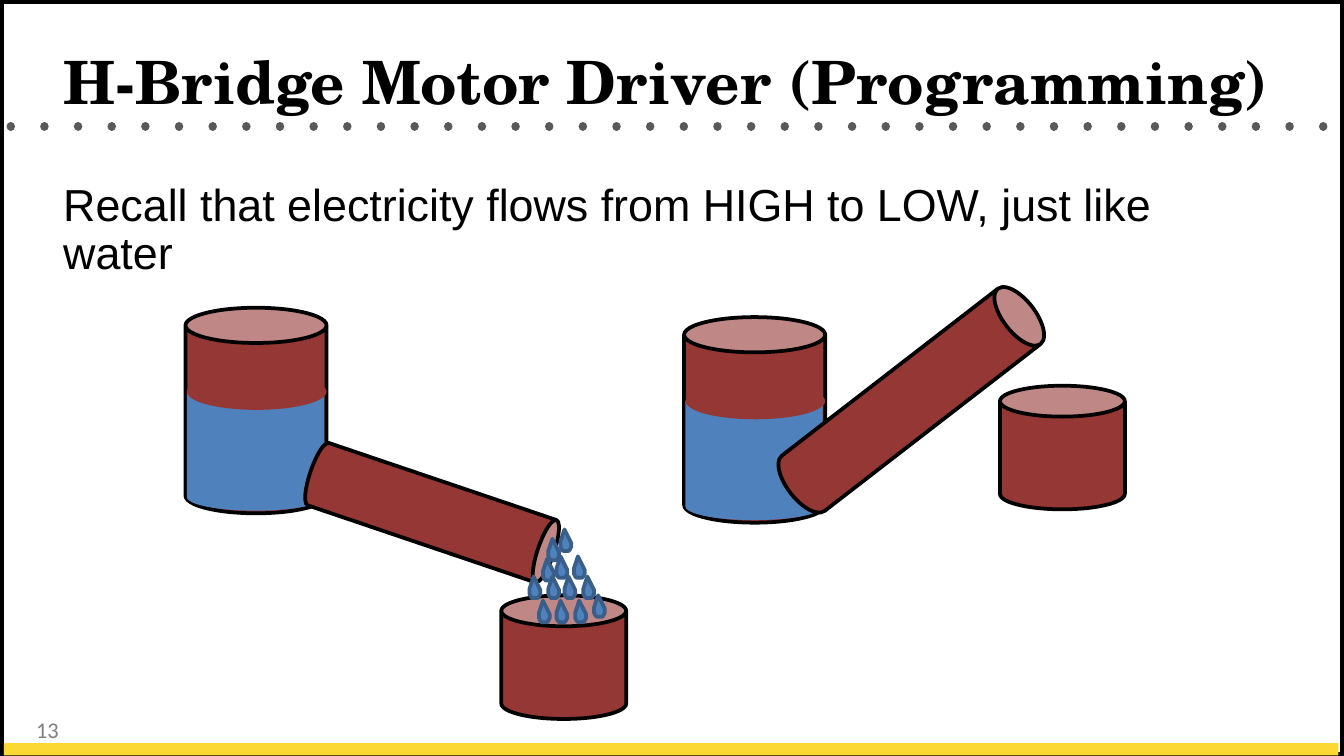
from typing import NamedTuple

from lxml import etree
from pptx import Presentation
from pptx.dml.color import RGBColor
from pptx.enum import shapes, text
from pptx.oxml import ns
from pptx.util import Inches, Pt

# A 16:9 slide
SLIDE_WIDTH = 10
SLIDE_HEIGHT = SLIDE_WIDTH * 9 / 16

COLORS = {
    "paper": "FFFFFF", "ink": "000000", "dots": "595959", "number": "7F7F7F",
    "stripe": "FBD833", "tank": "953734", "water": "4F81BD", "drop_edge": "395E89",
}


class Part(NamedTuple):
    left: float
    top: float
    width: float
    height: float
    fill: str = "tank"
    kind: shapes.MSO_SHAPE = shapes.MSO_SHAPE.CAN
    edge: float = 2
    rim: float = 0.25
    turn: float = 0


class Drop(NamedTuple):
    left: float
    top: float


def rgb(name: str) -> RGBColor:
    return RGBColor.from_string(COLORS[name])


def draw_part(canvas, part: Part) -> None:
    shape = canvas.add_shape(part.kind, *(Inches(n) for n in part[:4]))
    shape.shadow.inherit = False
    shape.rotation = part.turn
    shape.fill.solid()
    shape.fill.fore_color.rgb = rgb(part.fill)
    if part.edge:
        shape.line.color.rgb = rgb("ink")
        shape.line.width = Pt(part.edge)
    else:
        shape.line.fill.background()
    if part.kind == shapes.MSO_SHAPE.CAN:
        shape.adjustments[0] = part.rim


def draw_group(slide, parts: list[Part]) -> None:
    group = slide.shapes.add_group_shape()
    for part in parts:
        draw_part(group.shapes, part)


def draw_drop(canvas, drop: Drop) -> None:
    points = [(Inches(drop.left + x), Inches(drop.top + y)) for x, y in DROP_OUTLINE]
    builder = canvas.build_freeform(*points[0])
    builder.add_line_segments(points[1:], close=True)
    shape = builder.convert_to_shape()
    shape.shadow.inherit = False
    shape.fill.solid()
    shape.fill.fore_color.rgb = rgb("water")
    shape.line.color.rgb = rgb("drop_edge")
    shape.line.width = Pt(2)


def draw_dotted_rule(slide, left: float, right: float, y: float) -> None:
    rule = slide.shapes.add_connector(
        shapes.MSO_CONNECTOR.STRAIGHT, Inches(left), Inches(y), Inches(right), Inches(y))
    rule.line.color.rgb = rgb("dots")
    rule.line.width = Pt(4.5)
    properties = rule._element.spPr
    line = properties.find(ns.qn("a:ln"))
    line.set("cap", "rnd")
    etree.SubElement(line, ns.qn("a:prstDash"), val="dot")
    etree.SubElement(properties, ns.qn("a:effectLst"))


def write(box, words: str, place: tuple, font: str, size: float,
          color: str = "ink", bold: bool = False,
          anchor: text.MSO_ANCHOR = text.MSO_ANCHOR.TOP, spacing: float = 1.0) -> None:
    box.left, box.top, box.width, box.height = (Inches(n) for n in place)
    frame = box.text_frame
    frame.text = words
    frame.word_wrap = True
    frame.auto_size = text.MSO_AUTO_SIZE.NONE
    frame.vertical_anchor = anchor
    paragraph = frame.paragraphs[0]
    paragraph.alignment = text.PP_ALIGN.LEFT
    paragraph.line_spacing = spacing
    paragraph.space_before = Pt(0)
    properties = paragraph._p.get_or_add_pPr()
    properties.set("marL", "0")
    properties.set("indent", "0")
    etree.SubElement(properties, ns.qn("a:buNone"))
    run_font = paragraph.runs[0].font
    run_font.name, run_font.size, run_font.bold = font, Pt(size), bold
    run_font.color.rgb = rgb(color)


def water_tank(left: float, top: float) -> list[Part]:
    return [
        Part(left, top, 1.05, 1.53),
        Part(left + 0.01, top + 0.53, 1.02, 0.98, "water", edge=0, rim=0.206),
        Part(left + 0.01, top + 0.49, 1.04, 0.27, kind=shapes.MSO_SHAPE.OVAL, edge=0),
    ]


def bucket(left: float, top: float) -> Part:
    return Part(left, top, 0.93, 0.92)


# Outline of one drop, from its tip down the left side and back up
DROP_OUTLINE = [(0.03, 0), (0, 0.09), (0, 0.13), (0.01, 0.15), (0.02, 0.16),
                (0.06, 0.16), (0.07, 0.15), (0.08, 0.13), (0.08, 0.1)]
DROPS = [
    Drop(4.04, 4.16), Drop(4.08, 4.01), Drop(4.14, 4.14), Drop(4.17, 3.94), Drop(4.27, 4.14),
    *(Drop(left, 4.29) for left in (4.08, 4.2, 4.34, 3.94)),
    *(Drop(left, 4.47) for left in (4.28, 4.14, 4.01)),
    Drop(4.42, 4.43),
]


def main() -> None:
    deck = Presentation()
    deck.slide_width, deck.slide_height = Inches(SLIDE_WIDTH), Inches(SLIDE_HEIGHT)
    slide = deck.slides.add_slide(deck.slide_layouts[1])
    title, recall = slide.shapes.title, slide.placeholders[1]

    # Backdrop: frame, page number, dotted rule, stripe
    rectangle = shapes.MSO_SHAPE.RECTANGLE
    draw_part(slide.shapes, Part(0, 0, SLIDE_WIDTH, SLIDE_HEIGHT, "paper", rectangle, 4.5))
    page_number = slide.shapes.add_textbox(0, 0, 0, 0)
    write(page_number, "13", (0.17, 5.28, 0.92, 0.41), "Calibri", 12, "number")
    draw_dotted_rule(slide, 0.08, SLIDE_WIDTH, 0.94)
    draw_part(slide.shapes, Part(0.03, 5.53, 9.93, 0.09, "stripe", rectangle, 0))

    # Title and statement, raised above the backdrop
    for placeholder in (title, recall):
        slide.shapes._spTree.append(placeholder._element)
    write(title, "H-Bridge Motor Driver (Programming)", (0.37, 0.23, 9.3, 0.69),
          "TeX Gyre Schola", 32, bold=True, anchor=text.MSO_ANCHOR.BOTTOM)
    write(recall, "Recall that electricity flows from HIGH to LOW, just like water",
          (0.37, 1.31, 9, 0.92), "Arial", 24, spacing=0.9)

    # Pipe sloping down to the bucket, then pipe sloping up
    draw_group(slide, [*water_tank(1.38, 2.29),
                       Part(2.97, 2.86, 0.49, 1.91, turn=108.7), bucket(3.73, 4.43)])
    draw_group(slide, [*water_tank(5.09, 2.36),
                       Part(6.52, 1.84, 0.52, 2.27, rim=0.459, turn=52.3), bucket(7.44, 2.87)])

    # Water falling into the bucket
    stream = slide.shapes.add_group_shape()
    for drop in DROPS:
        draw_drop(stream.shapes, drop)

    deck.save("out.pptx")


if __name__ == "__main__":
    main()
